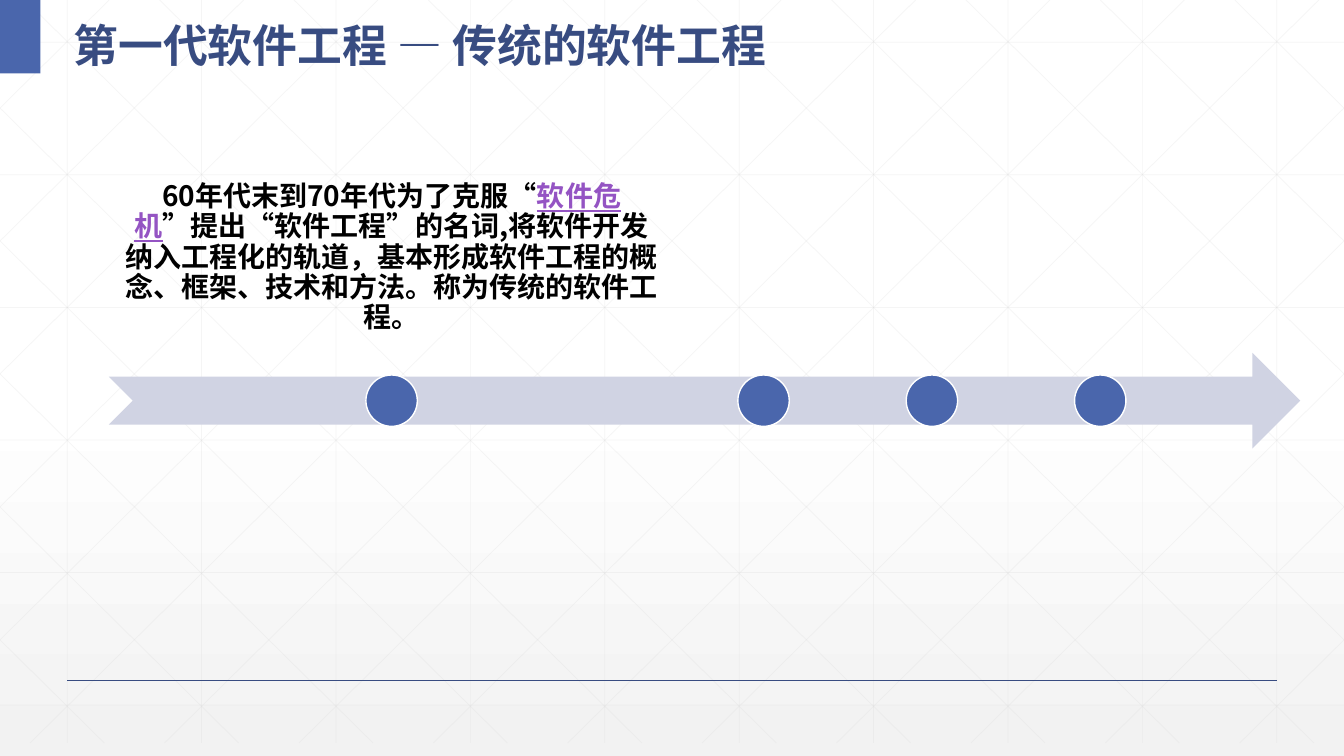
from pptx import Presentation
from pptx.dml.color import RGBColor
from pptx.enum.shapes import MSO_CONNECTOR as Connector, MSO_SHAPE as Shape
from pptx.enum.text import MSO_ANCHOR as Anchor, PP_ALIGN as Align
from pptx.oxml.ns import qn
from pptx.util import Inches, Pt
from lxml.etree import SubElement

COLUMNS, ROWS = 40, 30
FONT = "Noto Sans CJK SC"
COLORS = {
    "white": "FFFFFF", "fog": "F2F2F2", "mesh": "D9D9D9", "navy": "384C81",
    "blue": "4A66AC", "arrow": "D0D3E3", "link": "9454C3", "black": "000000",
}


def color(name):
    return RGBColor.from_string(COLORS[name])


def set_all(target, values):
    for name, value in values.items():
        setattr(target, name, value)


class SlideBuilder:
    """Draws on one page; lengths are columns across and rows down."""

    def __init__(self, deck):
        self.page = deck.slides.add_slide(deck.slide_layouts[6])
        self.column = deck.slide_width / COLUMNS
        self.row = deck.slide_height / ROWS

    def place(self, across, down):
        return round(across * self.column), round(down * self.row)

    def background(self, top, bottom, start):
        fill = self.page.background.fill
        fill.gradient()
        fill.gradient_angle = 270
        for stop, name, position in zip(fill.gradient_stops, (top, bottom), (start, 1)):
            stop.color.rgb = color(name)
            stop.position = position

    def line(self, start, end, name, width, opacity=100):
        link = self.page.shapes.add_connector(
            Connector.STRAIGHT, *self.place(*start), *self.place(*end))
        link.line.color.rgb = color(name)
        link.line.width = Pt(width)
        properties = link._element.spPr
        if opacity < 100:
            tint = properties.find(".//" + qn("a:srgbClr"))
            SubElement(tint, qn("a:alpha"), val=str(opacity * 1000))
        SubElement(properties, qn("a:effectLst"))

    def shape(self, kind, at, size, fill, outline=None):
        item = self.page.shapes.add_shape(kind, *self.place(*at), *self.place(*size))
        item.shadow.inherit = False
        item.fill.solid()
        item.fill.fore_color.rgb = color(fill)
        if outline:
            item.line.color.rgb = color(outline)
            item.line.width = Pt(1)
        else:
            item.line.fill.background()

    def text(self, at, size, spans, points, frame_format, para_format):
        """Write one bold paragraph of (text, color name, underlined) spans."""
        box = self.page.shapes.add_textbox(*self.place(*at), *self.place(*size))
        set_all(box.text_frame, {"word_wrap": True, **frame_format})
        para = box.text_frame.paragraphs[0]
        set_all(para, para_format)
        for words, name, underlined in spans:
            span = para.add_run()
            span.text = words
            set_all(span.font, {"name": FONT, "size": Pt(points), "bold": True,
                                "underline": underlined})
            span.font.color.rgb = color(name)
            SubElement(span.font._element, qn("a:ea"), typeface=FONT)

    def mesh(self):
        """Draw the faint grid with diagonals, cut at the slide's sides."""
        bottom, run, cell = 29.48, 29.8 * 0.75, 4
        style = ("mesh", 0.5, 25)
        for i in range(10):
            x = 2 + cell * i
            self.line((x, 0), (x, bottom), *style)
        for i in range(6):
            y = 1.68 + 5.26 * i
            self.line((0, y), (COLUMNS, y), *style)
        for i in range(-5, 10):
            top = 0.75 + cell * i
            left, right = max(0, top), min(COLUMNS, top + run)
            high, low = ((x - top) * bottom / run for x in (left, right))
            self.line((left, high), (right, low), *style)
            self.line((COLUMNS - left, high), (COLUMNS - right, low), *style)


def main():
    deck = Presentation()
    deck.slide_width, deck.slide_height = Inches(13.33), Inches(7.5)
    slide = SlideBuilder(deck)
    slide.background("white", "fog", 0.53)
    slide.mesh()
    slide.line((2, 27), (38, 27), "navy", 1)

    slide.shape(Shape.RECTANGLE, (0, 0), (1.2, 2.92), "blue")
    slide.text((1.89, 0), (22.2, 2.92),
               [("第一代软件工程 — 传统的软件工程", "navy", False)], 32,
               {"vertical_anchor": Anchor.MIDDLE}, {"line_spacing": 1.3})

    slide.shape(Shape.NOTCHED_RIGHT_ARROW, (3.24, 14), (35.46, 3.8), "arrow")
    margins = dict.fromkeys(
        ("margin_left", "margin_top", "margin_right", "margin_bottom"), Inches(0.16))
    slide.text((3.24, 5.76), (16.83, 8.12), [
        ("60年代末到70年代为了克服“", "black", False),
        ("软件危机", "link", True),
        ("”提出“软件工程”的名词,将软件开发纳入工程化的轨道，基本形成软件工程的概念、"
         "框架、技术和方法。称为传统的软件工程。", "black", False),
    ], 20, {"vertical_anchor": Anchor.BOTTOM, **margins},
        {"alignment": Align.CENTER, "line_spacing": 0.9})

    later_stages = [21.96 + 5.01 * i for i in range(3)]
    for left in [10.89, *later_stages]:
        slide.shape(Shape.OVAL, (left, 14.88), (1.53, 2.04), "blue", "white")

    deck.save("out.pptx")


if __name__ == "__main__":
    main()
